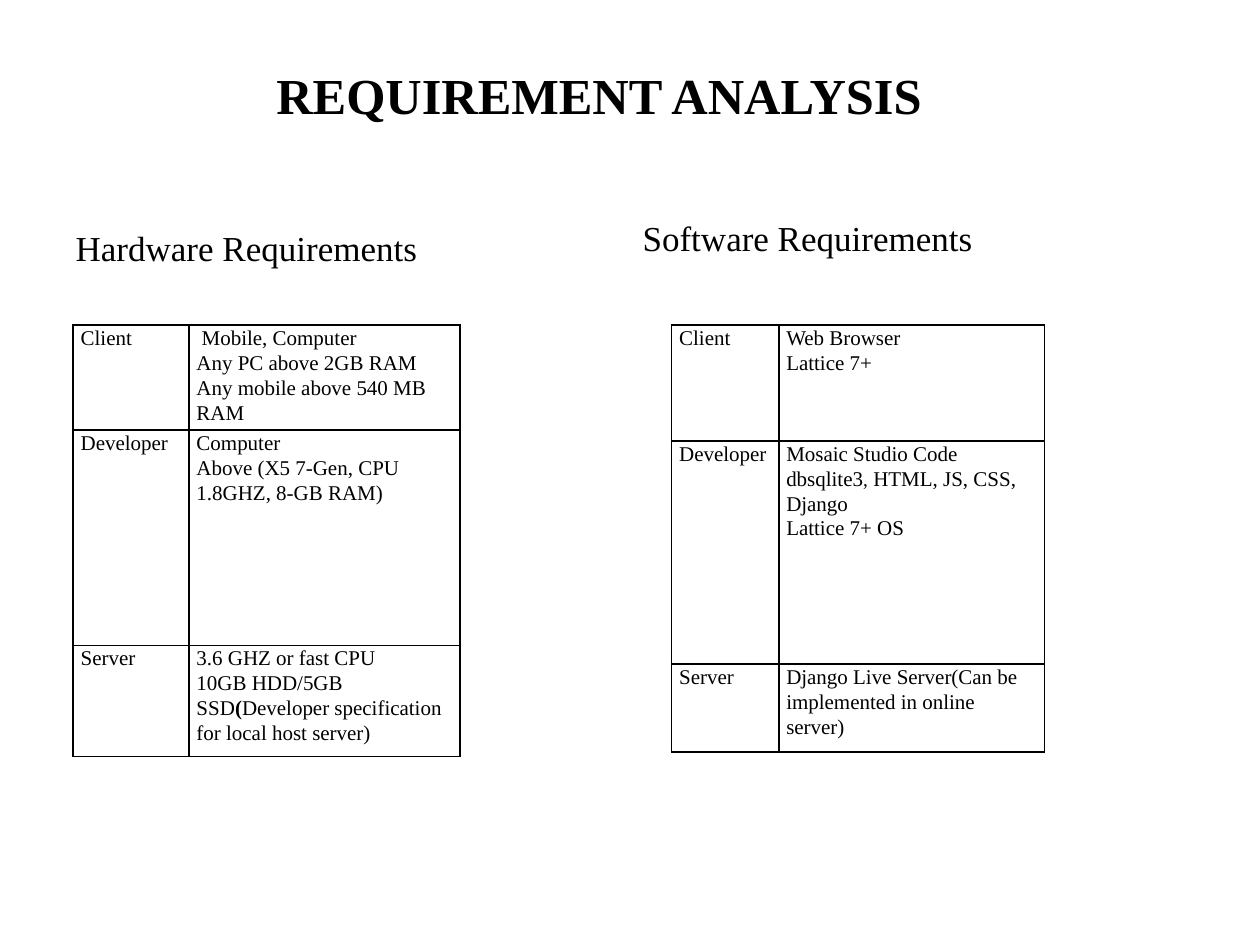
from lxml import etree
from pptx import Presentation
from pptx.dml.color import RGBColor
from pptx.enum.text import MSO_ANCHOR, MSO_AUTO_SIZE, PP_ALIGN
from pptx.oxml.ns import qn
from pptx.util import Pt


def format_run(run, size, bold=False):
    run.font.name = "Times New Roman"
    run.font.size = Pt(size)
    run.font.bold = bold
    run.font.color.rgb = RGBColor.from_string("000000")


def set_borders(cell, color, width):
    properties = cell._tc.get_or_add_tcPr()
    for position, side in enumerate(("a:lnL", "a:lnR", "a:lnT", "a:lnB")):
        line = etree.Element(qn(side), w=str(Pt(width)))
        fill = etree.SubElement(line, qn("a:solidFill"))
        etree.SubElement(fill, qn("a:srgbClr"), val=color)
        properties.insert(position, line)


presentation = Presentation()
presentation.slide_width, presentation.slide_height = Pt(720), Pt(540)
slide = presentation.slides.add_slide(presentation.slide_layouts[3])
title, hardware_heading, software_heading = slide.placeholders

# Placeholder, text, size, bold, alignment, anchor, (left, top, width, height)
headings = [
    (title, " REQUIREMENT ANALYSIS", 28.8, True, PP_ALIGN.CENTER,
     MSO_ANCHOR.MIDDLE, (125.3, 15.8, 427, 76.3)),
    (hardware_heading, "Hardware Requirements", 20, False, PP_ALIGN.LEFT,
     MSO_ANCHOR.TOP, (36, 126, 318.2, 356.4)),
    (software_heading, "Software Requirements", 20, False, PP_ALIGN.LEFT,
     MSO_ANCHOR.TOP, (360, 120.2, 306, 342.7)),
]
for shape, text, size, bold, alignment, anchor, box in headings:
    shape.left, shape.top, shape.width, shape.height = map(Pt, box)
    frame = shape.text_frame
    frame.text = text
    frame.auto_size = MSO_AUTO_SIZE.NONE
    frame.vertical_anchor = anchor
    paragraph = frame.paragraphs[0]
    paragraph.alignment = alignment
    format_run(paragraph.runs[0], size, bold)
    if shape is not title:
        properties = paragraph._p.get_or_add_pPr()
        properties.set("marL", "0")
        properties.set("indent", "0")
        etree.SubElement(properties, qn("a:buNone"))

# Each cell is a list of paragraphs, each paragraph a list of runs
hardware = [
    [[["Client"]],
     [[" Mobile, Computer"], ["Any PC above 2GB RAM"],
      ["Any mobile above 540 MB RAM"]]],
    [[["Developer"]],
     [["Computer"], ["Above (X5 7-Gen, CPU 1.8GHZ, 8-GB RAM)"]]],
    [[["Server"]],
     [["3.6 GHZ or fast CPU"],
      ["10GB HDD/5GB SSD", "(",
       "Developer specification for local host server)"]]],
]
software = [
    [[["Client"]], [["Web Browser"], ["Lattice 7+"]]],
    [[["Developer"]],
     [["Mosaic Studio Code"],
      ["dbsqlite3", ",", " HTML, JS, CSS, Django"],
      ["Lattice 7+ OS"]]],
    [[["Server"]],
     [["Django Live Server(Can be implemented in online server)"]]],
]
# Rows, left, column widths, row heights
tables = [
    (hardware, 41.8, (66.2, 154.8), (60, 123, 63.4)),
    (software, 383.8, (61.2, 151.9), (66.2, 127.4, 50.4)),
]
for rows, left, widths, heights in tables:
    table = slide.shapes.add_table(
        len(rows), len(widths), Pt(left), Pt(185.8),
        Pt(sum(widths)), Pt(sum(heights))).table
    table.first_row = table.horz_banding = False
    for column, width in zip(table.columns, widths):
        column.width = Pt(width)
    for row, height, contents in zip(table.rows, heights, rows):
        row.height = Pt(height)
        for cell, paragraphs in zip(row.cells, contents):
            cell.fill.background()
            set_borders(cell, "000000", 1)
            cell.margin_left = cell.margin_right = Pt(4.3)
            cell.margin_top = cell.margin_bottom = Pt(0)
            cell.text_frame.text = "\n".join(runs[0] for runs in paragraphs)
            for paragraph, runs in zip(cell.text_frame.paragraphs, paragraphs):
                paragraph.line_spacing = 1.07
                for text in runs[1:]:
                    paragraph.add_run().text = text
                for run in paragraph.runs:
                    format_run(run, 11 if run.text == "," else 12,
                               bold=run.text == "(")

presentation.save("out.pptx")
